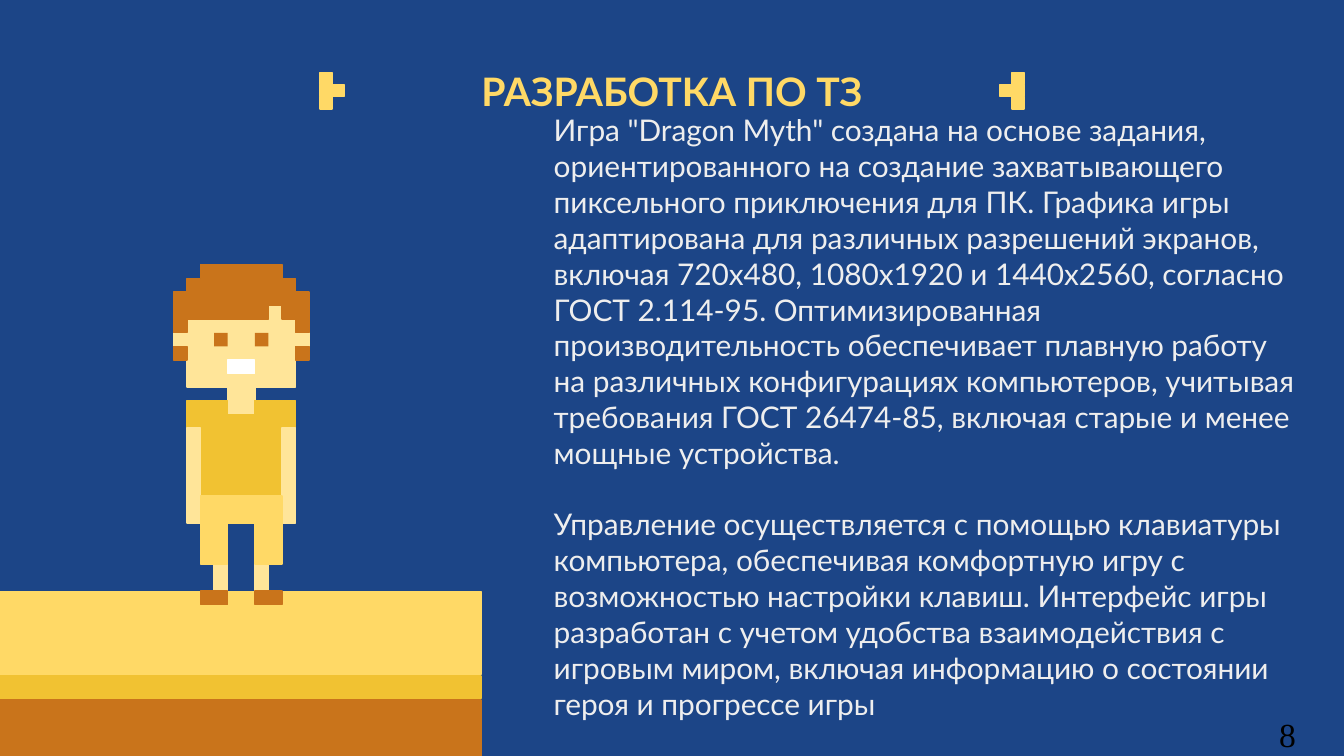
from pptx import Presentation
from pptx.dml.color import RGBColor
from pptx.enum.shapes import MSO_SHAPE as Preset
from pptx.enum.text import MSO_ANCHOR as Anchor, MSO_AUTO_SIZE as AutoSize, PP_ALIGN as Align
from pptx.oxml.xmlchemy import OxmlElement
from pptx.util import Inches, Pt

NAVY = RGBColor(0x1C, 0x45, 0x87)
YELLOW = RGBColor(0xFF, 0xD9, 0x66)
GOLD = RGBColor(0xF1, 0xC2, 0x32)
BROWN = RGBColor(0xC9, 0x74, 0x1B)
SKIN = RGBColor(0xFF, 0xE5, 0x99)
WHITE = RGBColor(0xFF, 0xFF, 0xFF)
LIGHT_GRAY = RGBColor(0xEE, 0xEE, 0xEE)
BLACK = RGBColor(0, 0, 0)

TITLE = "РАЗРАБОТКА ПО ТЗ"
PARAGRAPHS = [
    'Игра "Dragon Myth" создана на основе задания, ориентированного на создание '
    "захватывающего пиксельного приключения для ПК. Графика игры адаптирована для "
    "различных разрешений экранов, включая 720x480, 1080x1920 и 1440x2560, согласно "
    "ГОСТ 2.114-95. Оптимизированная производительность обеспечивает плавную работу "
    "на различных конфигурациях компьютеров, учитывая требования ГОСТ 26474-85, "
    "включая старые и менее мощные устройства.",
    "Управление осуществляется с помощью клавиатуры компьютера, обеспечивая "
    "комфортную игру с возможностью настройки клавиш. Интерфейс игры разработан с "
    "учетом удобства взаимодействия с игровым миром, включая информацию о состоянии "
    "героя и прогрессе игры",
]

HERO_COLUMNS, HERO_ROWS = 10, 25
FACE = [(7, 3), (7, 4), (1, 4), (1, 5), (0, 5), (0, 6), (1, 6), (1, 9), (4, 9), (4, 11),
        (6, 11), (6, 9), (9, 9), (9, 6), (10, 6), (10, 5), (9, 5), (9, 4), (8, 4), (8, 3)]
SHIRT = [(1, 10), (1, 12), (2, 12), (2, 17), (8, 17), (8, 12), (9, 12), (9, 10),
         (6, 10), (6, 11), (4, 11), (4, 10)]
HAIR = [(2, 0), (2, 1), (1, 1), (1, 2), (0, 2), (0, 5), (1, 5), (1, 4), (7, 4), (7, 3),
        (8, 3), (8, 4), (9, 4), (9, 5), (10, 5), (10, 2), (9, 2), (9, 1), (8, 1), (8, 0)]
SHORTS = [(2, 17), (2, 22), (4, 22), (4, 19), (6, 19), (6, 22), (8, 22), (8, 17)]


def paint(shape, color, outlined=True):
    shape.shadow.inherit = False
    shape.fill.solid()
    shape.fill.fore_color.rgb = color
    if outlined:
        shape.line.color.rgb = color
        shape.line.width = Pt(0.75)
    else:
        shape.line.fill.background()


def add_block(shapes, left, top, width, height, color, outlined=True):
    block = shapes.add_shape(Preset.RECTANGLE, int(left), int(top), int(width), int(height))
    paint(block, color, outlined)


def add_ground(page, left, top, width):
    shapes = page.shapes.add_group_shape().shapes
    for offset, height, color in [(0, 0.62, YELLOW), (0.63, 0.17, GOLD), (0.81, 0.62, BROWN)]:
        add_block(shapes, left, top + Inches(offset), width, Inches(height), color)


def add_hero(page, left, top, width, height):
    shapes = page.shapes.add_group_shape().shapes
    cell_width, cell_height = width / HERO_COLUMNS, height / HERO_ROWS

    def add_part(column, row, columns, rows, color, outlined=True):
        add_block(shapes, left + column * cell_width, top + row * cell_height,
                  columns * cell_width, rows * cell_height, color, outlined)

    def add_outline(points, color):
        builder = shapes.build_freeform(*points[0], scale=(cell_width, cell_height))
        builder.add_line_segments(points[1:], close=True)
        paint(builder.convert_to_shape(left, top), color)

    for column in (6, 3):
        add_part(column, 22, 1, 2, SKIN)
    add_outline(FACE, SKIN)
    add_outline(SHIRT, GOLD)
    for column in (6, 3):
        add_part(column, 5, 1, 1, BROWN, outlined=False)
    add_part(4, 7, 2, 1, WHITE)
    for column in (8, 1):
        add_part(column, 12, 1, 7, SKIN)
    for column in (6, 2):
        add_part(column, 24, 2, 1, BROWN)
    add_outline(HAIR, BROWN)
    add_outline(SHORTS, YELLOW)
    for column in (0, 9):
        add_part(column, 6, 1, 1, BROWN)


def add_bracket(page, left, top, cell, bar_column):
    shapes = page.shapes.add_group_shape().shapes
    for column, row in [(bar_column, 0), (bar_column, 1), (bar_column, 2), (1 - bar_column, 1)]:
        add_block(shapes, left + column * cell, top + row * cell, cell, cell, YELLOW)


def place_frame(shape, left, top, width, height, anchor):
    shape.left, shape.top, shape.width, shape.height = left, top, width, height
    frame = shape.text_frame
    frame.word_wrap = True
    frame.auto_size = AutoSize.NONE
    frame.vertical_anchor = anchor
    frame.margin_left = frame.margin_right = Inches(0.1)
    frame.margin_top = frame.margin_bottom = Inches(0.1)
    return frame


def add_span(para, text, font_name, size, color, bold=False):
    span = para.add_run()
    span.text = text
    span.font.name = font_name
    span.font.size = Pt(size)
    span.font.color.rgb = color
    span.font.bold = bold


def fill_title(page, left, top, width, height):
    frame = place_frame(page.shapes.title, left, top, width, height, Anchor.BOTTOM)
    para = frame.paragraphs[0]
    para.alignment = Align.CENTER
    add_span(para, TITLE, "Lato", 21, YELLOW, bold=True)


def fill_body(page, left, top, width, height):
    frame = place_frame(page.placeholders[1], left, top, width, height, Anchor.MIDDLE)
    for index, text in enumerate(PARAGRAPHS):
        para = frame.add_paragraph() if index else frame.paragraphs[0]
        para.space_before = Pt(19.2 if index else 0)
        properties = para._p.get_or_add_pPr()
        properties.set("marL", str(Inches(0.12)))
        properties.set("indent", "0")
        properties.append(OxmlElement("a:buNone"))
        add_span(para, text, "Lato", 16, LIGHT_GRAY)


def add_page_number(page, left, top, width, height):
    box = page.shapes.add_textbox(left, top, width, height)
    box.text_frame.word_wrap = True
    para = box.text_frame.paragraphs[0]
    para.alignment = Align.RIGHT
    add_span(para, "8", "Times New Roman", 18, BLACK)


def main():
    deck = Presentation()
    deck.slide_width = Inches(10)
    deck.slide_height = deck.slide_width * 9 // 16
    page = deck.slides.add_slide(deck.slide_layouts[1])
    page.background.fill.solid()
    page.background.fill.fore_color.rgb = NAVY

    add_ground(page, 0, Inches(4.4), Inches(3.58))
    add_hero(page, Inches(1.29), Inches(1.97), Inches(1.01), Inches(2.53))
    fill_title(page, Inches(0.34), Inches(0.32), Inches(9.32), Inches(0.63))
    add_bracket(page, Inches(2.38), Inches(0.54), Inches(0.09), bar_column=0)
    add_bracket(page, Inches(7.44), Inches(0.54), Inches(0.09), bar_column=1)
    fill_body(page, Inches(3.9), Inches(1.52), Inches(5.92), Inches(3.16))
    add_page_number(page, Inches(9.4), Inches(5.26), Inches(0.34), Inches(0.4))
    deck.save("out.pptx")


if __name__ == "__main__":
    main()
